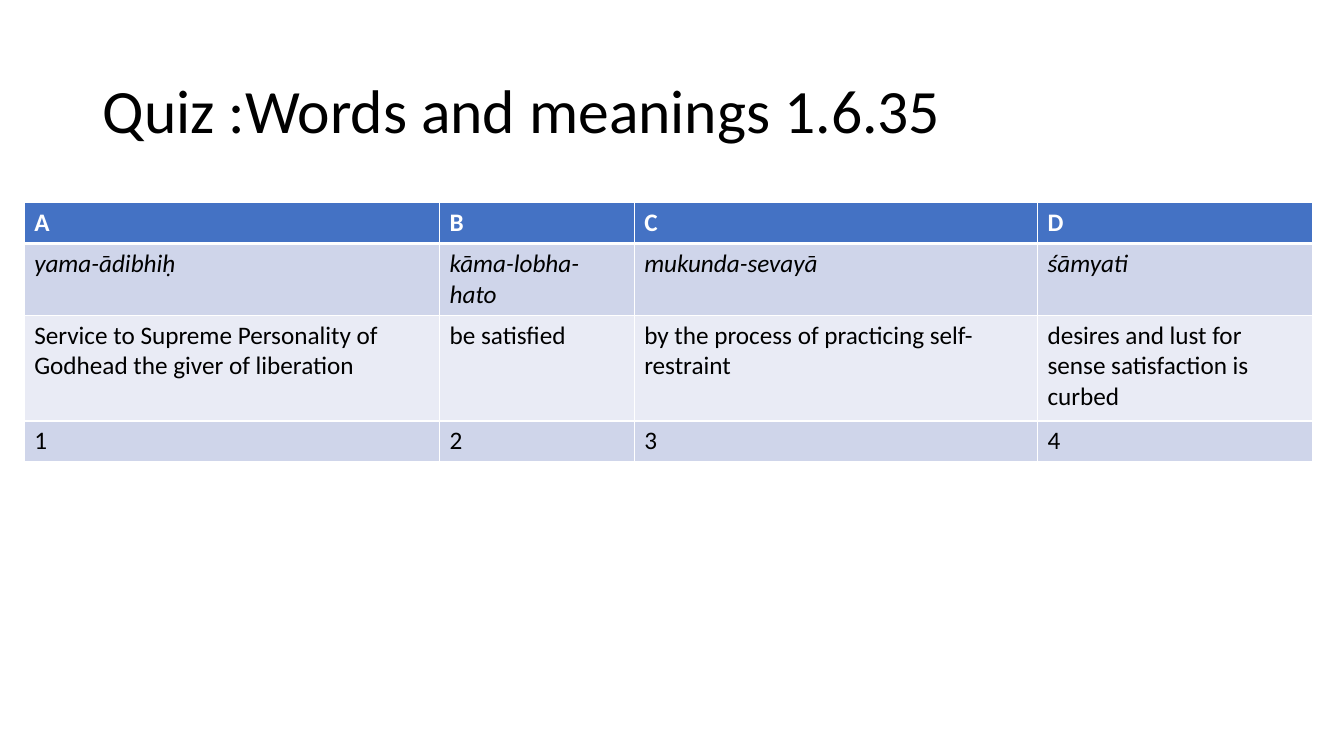
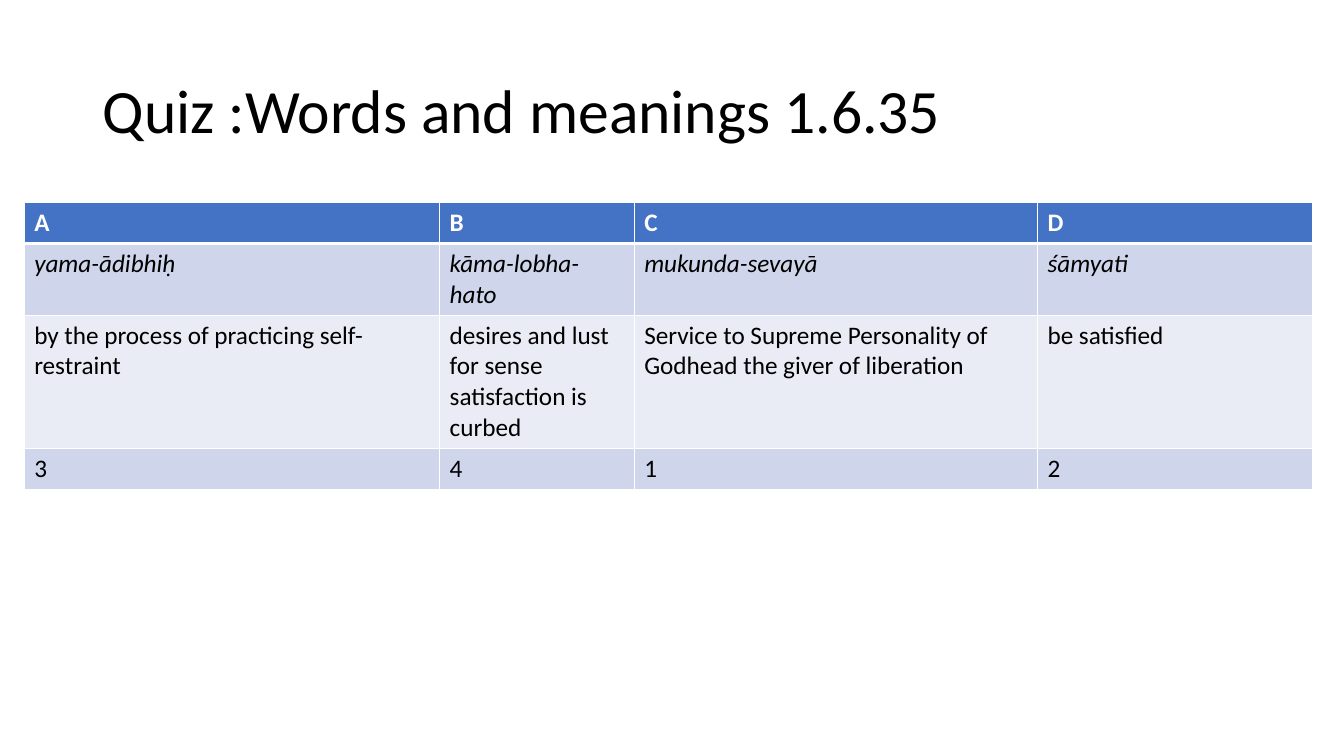
from lxml import etree
from pptx import Presentation
from pptx import util as u
from pptx.dml import color
from pptx.enum import text
from pptx.oxml import ns

FONT = "Calibri"
BLACK, WHITE, BLUE = "000000", "FFFFFF", "4472C4"
BANDS = ["CFD5EA", "E9EBF5"]
TITLE = "Quiz :Words and meanings 1.6.35"
HEADS = ["A", "B", "C", "D"]
WORDS = ["yama-ādibhiḥ", "kāma-lobha-hato", "mukunda-sevayā", "śāmyati"]
SENSES = [
    "Service to Supreme Personality of Godhead the giver of liberation",
    "be satisfied",
    "by the process of practicing self-restraint",
    "desires and lust for sense satisfaction is curbed",
]
COLS = [4.12, 1.93, 4, 2.73]
ROWS = [0.33, 0.33, 1.05, 0.33]
TITLE_BOX = (0.92, 0.4, 11.5, 1.45)
TABLE_BOX = (0.24, 2.01, sum(COLS), sum(ROWS))


def rgb(code):
    """Turn a hex string into a colour."""
    return color.RGBColor.from_string(code)


def style(para, size, code, bold=False, italic=False):
    """Format every run of a paragraph."""
    for run in para.runs:
        font = run.font
        font.name, font.size = FONT, u.Pt(size)
        font.bold, font.italic = bold, italic
        font.color.rgb = rgb(code)


def edge(cell, side, width):
    """Draw one white border of a cell."""
    props = cell._tc.get_or_add_tcPr()
    line = etree.SubElement(props, ns.qn("a:ln" + side), w=str(u.Pt(width)))
    fill = etree.SubElement(line, ns.qn("a:solidFill"))
    etree.SubElement(fill, ns.qn("a:srgbClr"), val=WHITE)


def add_title(slide, box):
    """Place the title in its box."""
    title = slide.shapes.title
    title.left, title.top, title.width, title.height = map(u.Inches, box)
    frame = title.text_frame
    frame.text = TITLE
    frame.word_wrap = True
    frame.auto_size = text.MSO_AUTO_SIZE.NONE
    frame.vertical_anchor = text.MSO_ANCHOR.MIDDLE
    para = frame.paragraphs[0]
    para.alignment = text.PP_ALIGN.LEFT
    para.line_spacing = 0.9
    style(para, 44, BLACK)


def add_cell(cell, row, words):
    """Fill and format one table cell by its row."""
    head = row == 0
    for side in "LRTB":
        thick = (row, side) in [(0, "B"), (1, "T")]
        edge(cell, side, 3 if thick else 1)
    cell.fill.solid()
    cell.fill.fore_color.rgb = rgb(BLUE if head else BANDS[(row - 1) % 2])
    cell.text_frame.text = words
    style(cell.text_frame.paragraphs[0], 18, WHITE if head else BLACK,
          bold=head, italic=row == 1)


def add_quiz(slide, box, order):
    """Place the table with the meanings in the given order."""
    data = [HEADS, WORDS, [SENSES[n - 1] for n in order], map(str, order)]
    table = slide.shapes.add_table(
        len(ROWS), len(COLS), *map(u.Inches, box)).table
    for col, width in zip(table.columns, COLS):
        col.width = u.Inches(width)
    for row, height in zip(table.rows, ROWS):
        row.height = u.Inches(height)
    for r, line in enumerate(data):
        for c, words in enumerate(line):
            add_cell(table.cell(r, c), r, words)


def main():
    """Build the quiz slide and the answer slide."""
    deck = Presentation()
    deck.slide_width, deck.slide_height = u.Inches(13.33), u.Inches(7.5)
    for order in ([1, 2, 3, 4], [3, 4, 1, 2]):
        slide = deck.slides.add_slide(deck.slide_layouts[5])
        add_title(slide, TITLE_BOX)
        add_quiz(slide, TABLE_BOX, order)
    deck.save("out.pptx")


if __name__ == "__main__":
    main()
